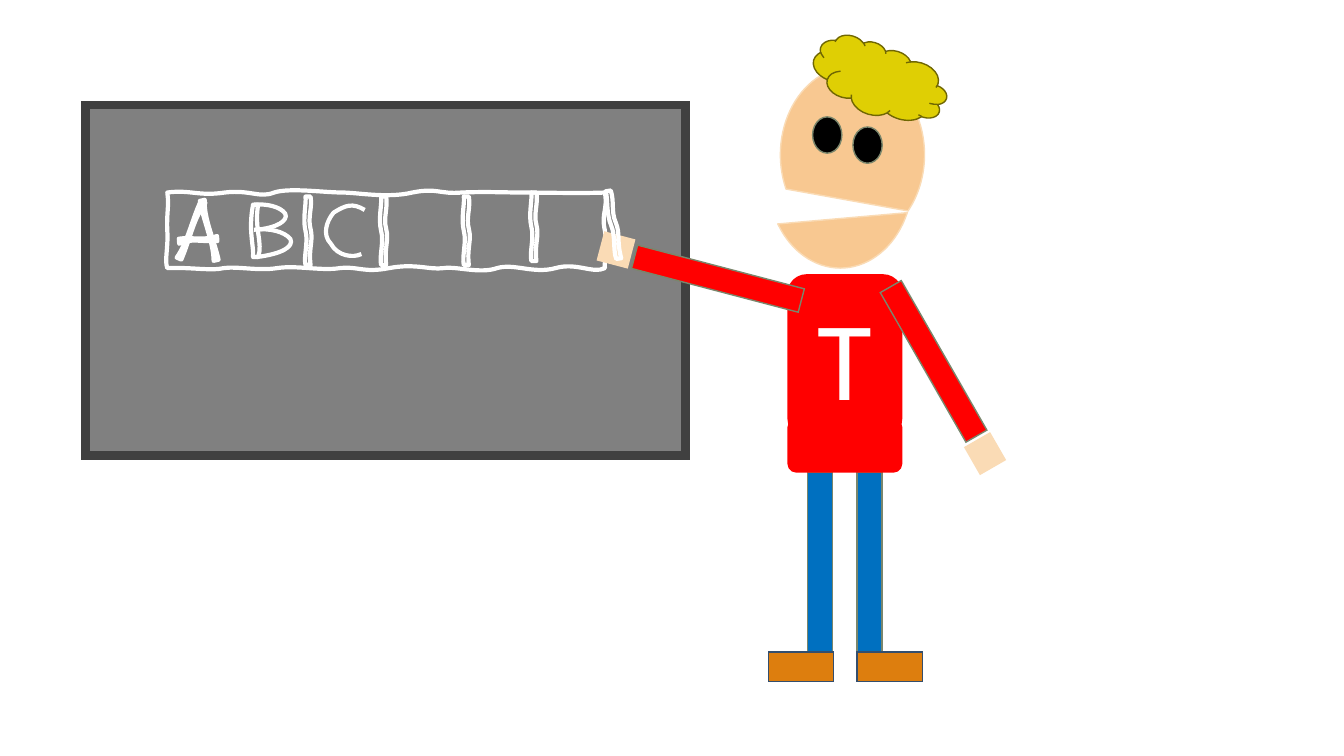
import pptx
import pptx.util
import pptx.dml.color
import pptx.enum.shapes
import pptx.enum.text
import pptx.oxml
import pptx.oxml.ns
import lxml.etree

PX = 9144  # EMU in one px, at 100 px to the inch
SHAPE = pptx.enum.shapes.MSO_SHAPE
COLORS = {
    "board": "808080", "frame": "404040", "chalk": "FFFFFF", "outline": "7A866C",
    "trousers": "0070C0", "shoe": "DD7E0E", "shoe edge": "344E6D", "shirt": "FF0000",
    "face": "F8C891", "hand": "FADBB5", "eye": "000000", "hair": "DFCF04", "hair edge": "706702",
}


def rgb(name):
    return pptx.dml.color.RGBColor.from_string(COLORS[name])


def draw_chalk(shapes, box, points, rotation=0, closed=True):
    """Draw a start point and its cubic curves (three points each), measured from the box corner."""
    left, top, width, height = [length * PX for length in box]
    points = [(round(x * PX), round(y * PX)) for x, y in points]
    builder = shapes.build_freeform(*points[0], scale=1.0)
    builder.add_line_segments(points[3::3], close=closed)
    shape = builder.convert_to_shape()

    # Fit the path to the box and turn its lines into curves
    for name, value in {"left": left, "top": top, "width": width, "height": height,
                        "rotation": rotation}.items():
        setattr(shape, name, value)
    path = next(shape._element.iter(pptx.oxml.ns.qn("a:path")))
    path.set("w", str(width))
    path.set("h", str(height))
    start = path.find(pptx.oxml.ns.qn("a:moveTo"))[0]
    start.set("x", str(points[0][0]))
    start.set("y", str(points[0][1]))
    for index, line in enumerate(path.findall(pptx.oxml.ns.qn("a:lnTo"))):
        curve = lxml.etree.Element(pptx.oxml.ns.qn("a:cubicBezTo"))
        for x, y in points[3 * index + 1:3 * index + 4]:
            lxml.etree.SubElement(curve, pptx.oxml.ns.qn("a:pt"), x=str(x), y=str(y))
        path.replace(line, curve)

    shape.shadow.inherit = False
    shape.fill.background()
    shape.line.color.rgb = rgb("chalk")
    shape.line.width = pptx.util.Pt(3)


presentation = pptx.Presentation()
presentation.slide_width = pptx.util.Emu(1333 * PX)
presentation.slide_height = pptx.util.Emu(750 * PX)
slide = presentation.slides.add_slide(presentation.slide_layouts[6])

# Board and teacher: preset, (left, top, width, height), fill, line, extra format values
board = [(SHAPE.RECTANGLE, (85, 104, 595, 348), "board", "frame", {"line_width": 6})]
body = [
    *[(SHAPE.RECTANGLE, (left, 469, 25, 178), "trousers", "outline", {}) for left in (850, 801)],
    *[(SHAPE.RECTANGLE, (left, 647, 65, 29), "shoe", "shoe edge", {}) for left in (850, 762)],
    (SHAPE.ROUNDED_RECTANGLE, (781, 415, 114, 54), "shirt", None, {}),
    (SHAPE.ROUNDED_RECTANGLE, (781, 272, 114, 162), "shirt", None, {"text": "T"}),
]
head = [
    (SHAPE.CHORD, (774, 66, 143, 175), "face", "hand", {"flip": True, "angles": (80.78, 16.41)}),
    (SHAPE.CHORD, (762, 91, 143, 175), "face", "hand", {"flip": True, "angles": (21.13, 92.33)}),
    (SHAPE.OVAL, (846, 126, 29, 36), "eye", "outline", {"flip": True}),
    (SHAPE.OVAL, (806, 116, 29, 36), "eye", "outline", {"flip": True}),
    (SHAPE.CLOUD, (804, 45, 137, 70), "hair", "hair edge", {"flip": True, "rotation": 16.6}),
]
lowered_arm = [
    (SHAPE.RECTANGLE, (914, 273, 24, 171), "shirt", "outline", {"rotation": 330.2}),
    (SHAPE.RECTANGLE, (962, 434, 30, 32), "hand", None, {"rotation": 330.2}),
]
pointing_arm = [
    (SHAPE.RECTANGLE, (700, 191, 24, 171), "shirt", "outline", {"rotation": 104.7}),
    (SHAPE.RECTANGLE, (596, 232, 30, 32), "hand", None, {"rotation": 104.7}),
]

# Chalk curves
table_frame = [
    (0, 0), (23, -3), (31, 4), (57, 0), (83, -3), (91, 6), (106, 0),
    (121, -5), (156, 0), (173, 0), (189, 0), (218, 6), (243, 0),
    (268, -5), (270, 2), (292, 0), (315, -1), (337, 0), (350, 0),
    (363, 0), (416, 1), (434, 0), (437, 18), (430, 20), (434, 38),
    (437, 57), (433, 68), (434, 75), (422, 81), (406, 69), (385, 75),
    (363, 81), (344, 70), (327, 75), (310, 81), (287, 73), (274, 75),
    (260, 77), (246, 70), (220, 75), (194, 80), (190, 73), (171, 75),
    (153, 78), (128, 72), (109, 75), (90, 78), (69, 73), (56, 75),
    (43, 78), (24, 74), (0, 75), (-3, 67), (1, 56), (0, 38),
    (-1, 21), (2, 14), (0, 0),
]
divider = [
    (0, 0), (2, 0), (3, 0), (5, 0), (7, 11), (2, 21), (5, 32), (8, 44), (3, 50), (5, 68),
    (3, 68), (1, 68), (0, 68), (-2, 59), (3, 45), (0, 34), (-3, 22), (1, 7), (0, 0),
]
a_leg = [(5, 0), (3, 0), (2, 0), (0, 0), (-1, 18), (4, 43), (0, 61),
         (2, 61), (3, 61), (5, 61), (5, 38), (0, 18), (5, 0)]
a_bar = [(5 - x, y * 38 / 61) for x, y in a_leg]
b_stem = [(5, 0), (3, 0), (2, 1), (0, 0), (-5, 26), (1, 41), (0, 52),
          (2, 52), (3, 52), (5, 52), (10, 38), (1, 25), (5, 0)]
b_upper_bowl = [(32, 0), (45, -1), (58, 2), (63, 9), (66, 16), (55, 23), (34, 25)]
b_lower_bowl = [(38, 0), (54, -2), (68, 2), (74, 9), (78, 17), (65, 24), (41, 27)]
letter_c = [(23, 0), (32, -1), (46, 6), (48, 20), (53, 31), (45, 42), (35, 48),
            (21, 51), (14, 51), (5, 40)]

# Draw from back to front; the table frame lies behind the pointing arm
for part in (board, body, head, lowered_arm, pointing_arm):
    if part is pointing_arm:
        draw_chalk(slide.shapes, (166, 191, 434, 75), table_frame)
    shapes = slide.shapes if part is board else slide.shapes.add_group_shape().shapes
    for preset, box, fill, line, values in part:
        shape = shapes.add_shape(preset, *[length * PX for length in box])
        shape.shadow.inherit = False
        shape.fill.solid()
        shape.fill.fore_color.rgb = rgb(fill)
        shape.rotation = values.get("rotation", 0)
        if line:
            shape.line.color.rgb = rgb(line)
            shape.line.width = pptx.util.Pt(values.get("line_width", 1))
            outline = shape._element.spPr.find(pptx.oxml.ns.qn("a:ln"))
            lxml.etree.SubElement(outline, pptx.oxml.ns.qn("a:miter"), lim="800000")
        else:
            shape.line.fill.background()
        for index, angle in enumerate(values.get("angles", ())):
            shape.adjustments[index] = angle
        if values.get("flip"):
            shape._element.spPr.xfrm.set("flipH", "1")
        if "text" in values:
            frame = shape.text_frame
            frame.vertical_anchor = pptx.enum.text.MSO_ANCHOR.MIDDLE
            paragraph = frame.paragraphs[0]
            paragraph.alignment = pptx.enum.text.PP_ALIGN.CENTER
            run = paragraph.add_run()
            run.text = values["text"]
            run.font.color.rgb = rgb("chalk")
            for name, value in {"name": "Calibri", "size": pptx.util.Pt(80)}.items():
                setattr(run.font, name, value)

# The tilted divider belongs to the pointing arm, the newest group
draw_chalk(shapes, (606, 189, 5, 68), divider, 351.2)
for left, top in ((303, 195), (378, 195), (460, 195), (527, 191)):
    draw_chalk(slide.shapes, (left, top, 5, 68), divider)

# Letters
a_shapes = slide.shapes.add_group_shape().shapes
draw_chalk(a_shapes, (187, 198, 5, 61), a_leg, 23.1)
draw_chalk(a_shapes, (205, 198, 5, 61), a_leg, 347)
draw_chalk(a_shapes, (194, 219, 5, 38), a_bar, 266)
b_shapes = slide.shapes.add_group_shape().shapes
draw_chalk(b_shapes, (251, 203, 5, 52), b_stem)
draw_chalk(b_shapes, (220, 203, 64, 25), b_upper_bowl, closed=False)
draw_chalk(b_shapes, (214, 228, 76, 27), b_lower_bowl, closed=False)
draw_chalk(slide.shapes, (324, 204, 49, 50), letter_c, 160.1, closed=False)

presentation.save("out.pptx")
